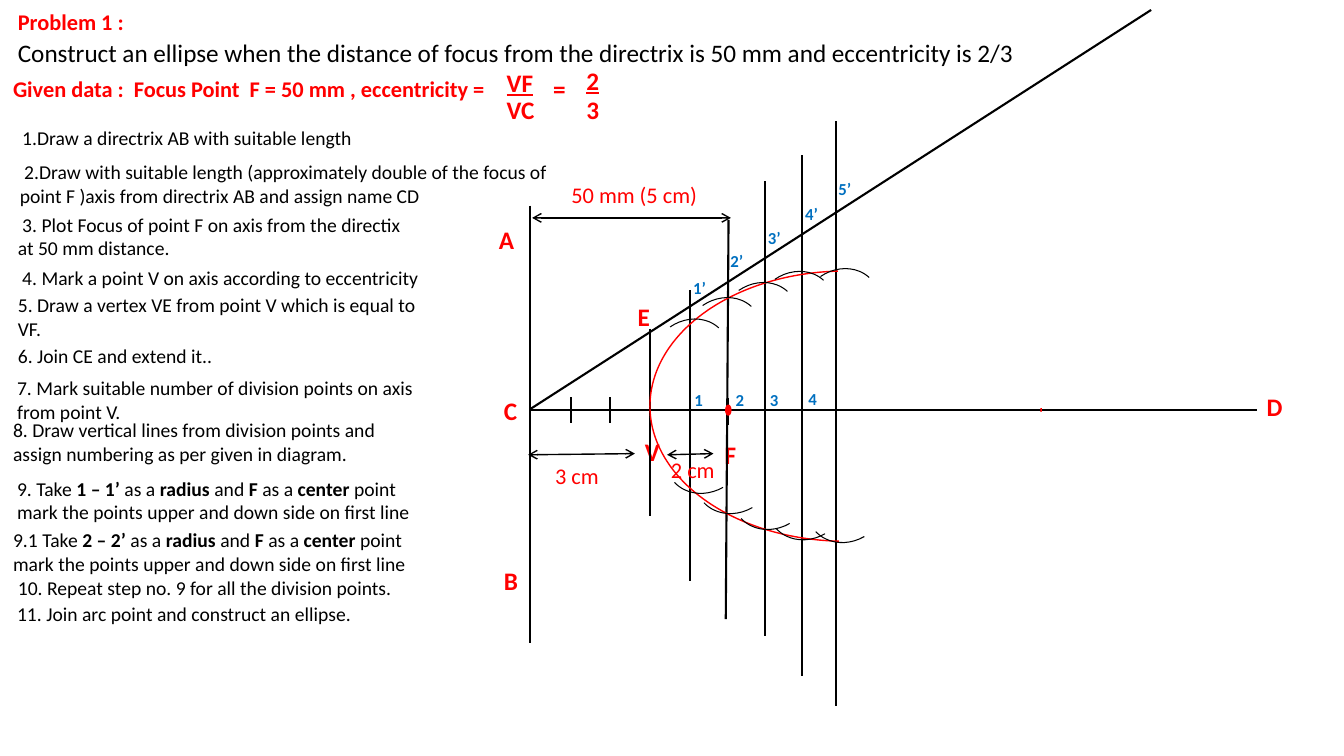
import pptx
import pptx.util
import pptx.dml.color
import pptx.enum.shapes
import pptx.enum.text
import pptx.oxml
import pptx.oxml.ns

Cm, Pt = pptx.util.Cm, pptx.util.Pt
MSO_SHAPE = pptx.enum.shapes.MSO_SHAPE
BLACK = pptx.dml.color.RGBColor(0x00, 0x00, 0x00)
WHITE = pptx.dml.color.RGBColor(0xFF, 0xFF, 0xFF)
RED = pptx.dml.color.RGBColor(0xFF, 0x00, 0x00)
BLUE = pptx.dml.color.RGBColor(0x00, 0x70, 0xC0)

prs = pptx.Presentation()
prs.slide_width, prs.slide_height = Cm(33.87), Cm(19.05)
s = prs.slides.add_slide(prs.slide_layouts[6])


def add_text(text, x, y, w, h, size, color, bold=False, wrap=False):
    """Add a text box; parts between asterisks switch the weight."""
    sp = s.shapes.add_textbox(Cm(x), Cm(y), Cm(w), Cm(h))
    tf = sp.text_frame
    tf.word_wrap = wrap
    tf.auto_size = pptx.enum.text.MSO_AUTO_SIZE.SHAPE_TO_FIT_TEXT
    for i, part in enumerate(text.split("*")):
        r = tf.paragraphs[0].add_run()
        r.text = part
        r.font.name = "Calibri"
        r.font.size = Pt(size)
        r.font.color.rgb = color
        r.font.bold = bold != (i % 2 == 1)
    return sp


def add_line(x1, y1, x2, y2, width=1.5):
    c = s.shapes.add_connector(pptx.enum.shapes.MSO_CONNECTOR.STRAIGHT,
                               Cm(x1), Cm(y1), Cm(x2), Cm(y2))
    c.line.color.rgb = BLACK
    c.line.width = Pt(width)
    pptx.oxml.ns.qn("a:effectLst")
    c._element.spPr.append(pptx.oxml.parse_xml(
        "<a:effectLst %s/>" % pptx.oxml.ns.nsdecls("a")))
    return c


# Heading and given data
add_text("Problem 1 :", 0.2, 0.08, 3.23, 0.94, 16, RED, bold=True)
add_text("Construct an ellipse when the distance of focus from the directrix "
         "is 50 mm and eccentricity is 2/3",
         0.2, 0.81, 28.24, 1.02, 18, BLACK, wrap=True)
add_text("Given data :  Focus Point  F = 50 mm , eccentricity =",
         0.08, 1.78, 12.55, 0.94, 16, RED, bold=True)
for numerator, x, y, w in [("VF", 12.52, 1.57, 1.19), ("2", 14.53, 1.52, 0.84)]:
    sp = add_text(numerator, x, y, w, 1.02, 18, RED, bold=True)
    sp.text_frame.paragraphs[0].runs[0].font.underline = True

# Point names, denominators and equals sign
for name, x, y, w in [
    ("VC", 12.52, 2.26, 1.22), ("=", 13.69, 1.73, 0.84), ("3", 14.53, 2.24, 0.99),
    ("A", 12.32, 5.54, 0.94), ("B", 12.45, 14.12, 0.86), ("C", 12.45, 9.83, 0.86),
    ("D", 31.67, 9.73, 0.91), ("E", 15.82, 7.47, 0.81), ("F", 18.01, 10.95, 0.81),
    ("V", 16, 10.87, 0.89),
]:
    add_text(name, x, y, w, 1.02, 18, RED, bold=True)

# Construction steps: text, left, top, width, number of lines
for step, x, y, w, lines in [
    (" 1.Draw a directrix AB with suitable length", 0.2, 3.05, 10.13, 1),
    (" 2.Draw with suitable length (approximately double of the focus of point F )"
     "axis from directrix AB and assign name CD", 0.25, 3.91, 14.05, 2),
    (" 3. Plot Focus of point F on axis from the directix at 50 mm distance.",
     0.2, 5.23, 10.62, 2),
    (" 4. Mark a point V on axis according to eccentricity", 0.2, 6.58, 10.62, 1),
    ("5. Draw a vertex VE from point V which is equal to VF.", 0.2, 7.26, 10.62, 2),
    ("6. Join CE and extend it..", 0.2, 8.53, 10.62, 1),
    ("7. Mark suitable number of division points on axis from point V.",
     0.18, 9.35, 10.62, 2),
    ("8. Draw vertical lines from division points and assign numbering "
     "as per given in diagram.", 0.08, 10.41, 10.62, 2),
    ("9. Take *1 – 1’ *as a *radius* and *F* as a *center* point mark the points "
     "upper and down side on first line", 0.18, 11.89, 10.62, 2),
    ("9.1 Take *2 – 2’ *as a *radius* and *F* as a *center* point mark the points "
     "upper and down side on first line", 0.08, 13.18, 10.62, 2),
    ("10. Repeat step no. 9 for all the division points.", 0.2, 14.4, 10.62, 1),
    ("11. Join arc point and construct an ellipse.", 0.18, 15.04, 10.62, 1),
]:
    add_text(step, x, y, w, 0.27 + 0.59 * lines, 14, BLACK, wrap=True)

# Directrix AB, axis CD and extended line CE
add_line(13.36, 5.18, 13.36, 16.21)
add_line(31.67, 10.34, 13.39, 10.34)
add_line(29.01, 0.25, 13.36, 10.31)

# Division ticks on the axis
for x, y in [(14.38, 10.01), (15.37, 10.01), (16.38, 10.01), (17.4, 10.01),
             (18.35, 10.04), (19.27, 10.06), (20.22, 10.08), (21.08, 10.08)]:
    add_line(x, y, x, y + 0.66)

# Vertical lines through V and the division points
for x1, y1, x2, y2 in [
    (16.38, 8.28, 16.38, 13), (17.4, 7.32, 17.4, 14.63), (18.36, 5.54, 18.29, 15.6),
    (19.28, 4.57, 19.28, 16.03), (20.22, 3.91, 20.22, 17.04), (21.08, 3.05, 21.08, 17.78),
]:
    add_line(x1, y1, x2, y2)

# Dimensions
for size, x, y, w, x1, y1, x2, y2 in [
    ("50 mm (5 cm)", 14.15, 4.45, 3.71, 13.41, 5.49, 18.42, 5.49),
    ("3 cm", 13.74, 11.51, 1.63, 13.31, 11.46, 16, 11.43),
    ("2 cm", 16.66, 11.38, 1.63, 16.81, 11.46, 17.98, 11.43),
]:
    add_text(size, x, y, w, 0.94, 16, RED)
    ln = add_line(x1, y1, x2, y2, 1).line._get_or_add_ln()
    for end in ("headEnd", "tailEnd"):
        ln.append(pptx.oxml.parse_xml(
            '<a:%s %s type="arrow"/>' % (end, pptx.oxml.ns.nsdecls("a"))))

# Division numbers on the axis and on line CE
for number, x, y in [
    ("1", 17.25, 9.7), ("2", 18.29, 9.7), ("3", 19.15, 9.7), ("4", 20.12, 9.68),
    ("1’", 17.22, 6.88), ("2’", 18.16, 6.2), ("3’", 19.1, 5.61),
    ("4’", 20.04, 5), ("5’", 20.88, 4.39),
]:
    add_text(number, x, y, 0.74 if len(number) == 1 else 1.3, 0.76,
             12, BLUE, bold=True, wrap=True)

# Focus point, ellipse and the white covers over its right half
for kind, x, y, w, h, fill, line in [
    (MSO_SHAPE.FLOWCHART_CONNECTOR, 18.29, 10.21, 0.13, 0.25, RED, RED),
    (MSO_SHAPE.OVAL, 16.38, 6.83, 9.86, 6.81, None, RED),
    (MSO_SHAPE.RECTANGLE, 21.13, 6.25, 5.54, 4.01, WHITE, WHITE),
    (MSO_SHAPE.RECTANGLE, 21.16, 10.39, 5.51, 4.01, WHITE, WHITE),
]:
    sp = s.shapes.add_shape(kind, Cm(x), Cm(y), Cm(w), Cm(h))
    sp.shadow.inherit = False
    if fill is None:
        sp.fill.background()
    else:
        sp.fill.solid()
        sp.fill.fore_color.rgb = fill
    sp.line.color.rgb = line
    sp.line.width = Pt(1)

# Compass arcs above and below the axis
upper = [(16.38, 8.08), (17.2, 7.54), (18.11, 7.16), (19.02, 6.88), (20.17, 6.81)]
lower = [(16.76, 10.62), (17.5, 11.13), (18.44, 11.53), (19.33, 11.79), (20.32, 11.86)]
for rotation, corners in [(325.3, upper), (150, lower)]:
    for x, y in corners:
        sp = s.shapes.add_shape(MSO_SHAPE.ARC, Cm(x), Cm(y), Cm(2.03), Cm(1.78))
        sp.adjustments[0], sp.adjustments[1] = 162, 210.12
        sp.rotation = rotation
        sp.shadow.inherit = False
        sp.fill.background()
        sp.line.color.rgb = BLACK
        sp.line.width = Pt(0.75)

prs.save("out.pptx")
